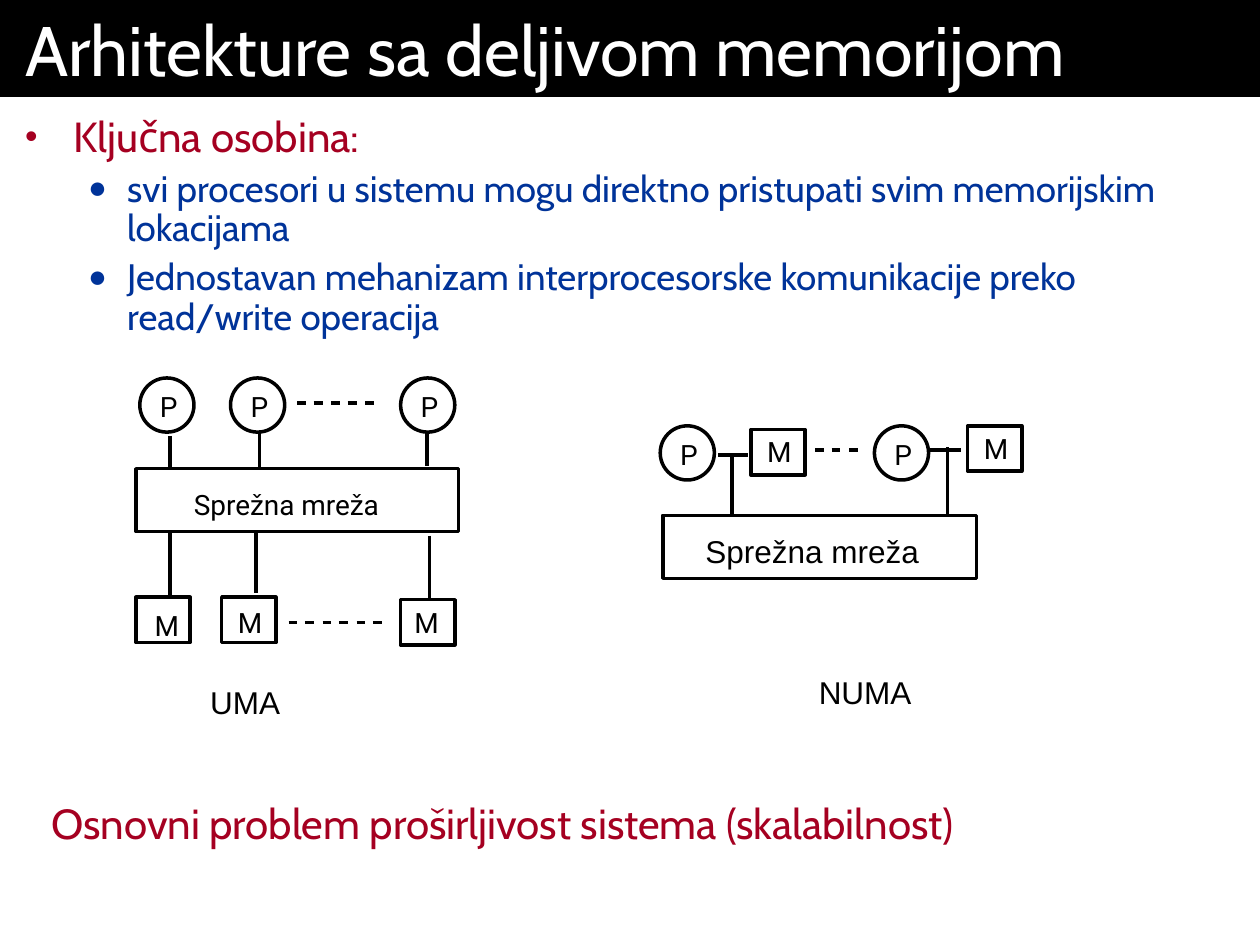
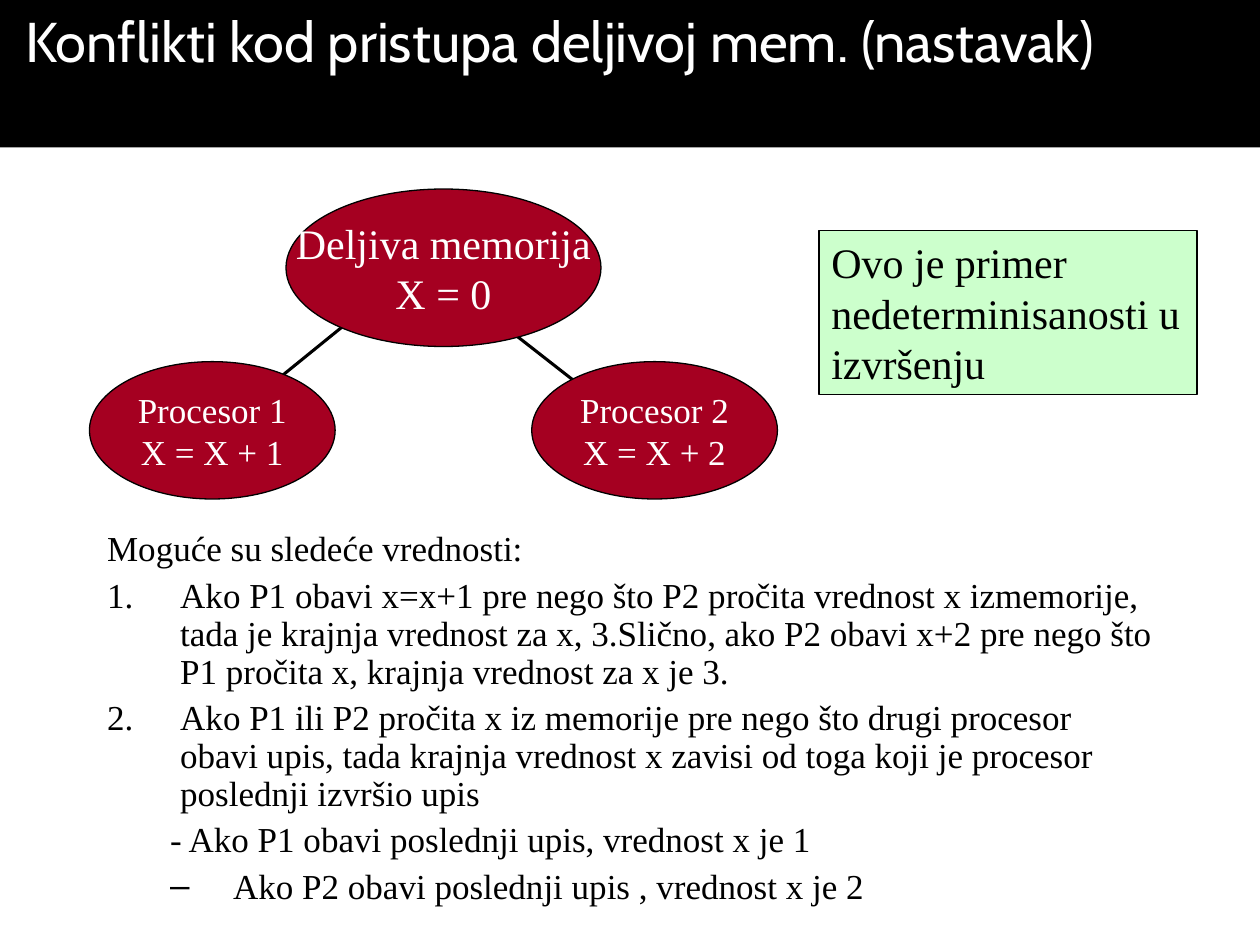
from lxml import etree
from pptx import Presentation
from pptx.dml.color import RGBColor
from pptx.enum.shapes import MSO_CONNECTOR, MSO_SHAPE
from pptx.enum.text import MSO_ANCHOR, MSO_AUTO_SIZE, PP_ALIGN
from pptx.oxml.ns import qn
from pptx.util import Pt

PX = 9144  # 100 px to the inch
OVAL, RECT = MSO_SHAPE.OVAL, MSO_SHAPE.RECTANGLE
LINE = MSO_CONNECTOR.STRAIGHT
TOP, MIDDLE, BOTTOM = MSO_ANCHOR.TOP, MSO_ANCHOR.MIDDLE, MSO_ANCHOR.BOTTOM
LEFT, CENTER = PP_ALIGN.LEFT, PP_ALIGN.CENTER
NO_FIT = MSO_AUTO_SIZE.NONE

COLORS = {"black": "000000", "white": "FFFFFF", "red": "A50021",
          "blue": "003399", "mint": "CCFFCC"}
HEAD, LABEL, PLAIN, SERIF = "Cabin", "Roboto", "Arial", "Times New Roman"


def write(shape, items, font, anchor=TOP, align=LEFT, wrap=True, inset=(10, 5)):
    """Fill a shape with paragraphs given as dicts of text and format."""
    frame = shape.text_frame
    frame.auto_size, frame.word_wrap = NO_FIT, wrap
    frame.vertical_anchor = anchor
    frame.margin_left = frame.margin_right = inset[0] * PX
    frame.margin_top = frame.margin_bottom = inset[1] * PX
    for i, item in enumerate(items):
        para = frame.add_paragraph() if i else frame.paragraphs[0]
        para.text = item["text"]
        para.level = item.get("level", 0)
        para.alignment = align
        para.line_spacing = item.get("lines", 1.0)
        para.space_before = Pt(item.get("before", 0) if i else 0)
        props = para._p.get_or_add_pPr()
        left, hang = item.get("indent", (0, 0))
        props.set("marL", str(left * PX))
        props.set("indent", str(-hang * PX))
        mark = item.get("mark")
        if mark:
            tint = etree.SubElement(props, qn("a:buClr"))
            etree.SubElement(tint, qn("a:srgbClr"), val=COLORS[item["color"]])
            etree.SubElement(props, qn("a:buSzPct"), val=str(item.get("scale", 100) * 1000))
        if mark == "1.":
            etree.SubElement(props, qn("a:buAutoNum"), type="arabicPeriod")
        elif mark:
            etree.SubElement(props, qn("a:buChar"), char=mark)
        else:
            etree.SubElement(props, qn("a:buNone"))
        para.font.name, para.font.size = font, Pt(item["size"])
        para.font.color.rgb = RGBColor.from_string(COLORS[item["color"]])


def draw(slide, kind, place, fill, width):
    shape = slide.shapes.add_shape(kind, *(n * PX for n in place))
    shape.shadow.inherit = False
    shape.fill.solid()
    shape.fill.fore_color.rgb = RGBColor.from_string(COLORS[fill])
    shape.line.color.rgb = RGBColor.from_string(COLORS["black"])
    shape.line.width = Pt(width)
    return shape


deck = Presentation()
deck.slide_width, deck.slide_height = 1000 * PX, 750 * PX

# Titles and lists
top = dict(size=24, color="red", lines=0.9, indent=(38, 38), mark="•", scale=85)
sub = dict(size=21, color="blue", lines=0.9, before=5.2, level=1,
           indent=(81, 31), mark="●", scale=85)
step = dict(size=20, color="black", lines=0.9, before=5, indent=(58, 58))
case = dict(step, level=1, indent=(100, 50))
traits = [
    dict(top, text="Ključna osobina:"),
    dict(sub, text="svi procesori u sistemu mogu direktno pristupati svim "
                   "memorijskim lokacijama"),
    dict(sub, text="Jednostavan mehanizam interprocesorske komunikacije preko "
                   "read/write operacija"),
]
values = [
    dict(step, text="Moguće su sledeće vrednosti:"),
    dict(step, mark="1.", text="Ako P1 obavi x=x+1 pre nego što P2 pročita vrednost x "
         "izmemorije, tada je krajnja vrednost za x, 3.Slično, ako P2 obavi x+2 pre "
         "nego što P1 pročita x, krajnja vrednost za x je 3."),
    dict(step, mark="1.", text="Ako P1 ili P2 pročita x iz memorije pre nego što drugi "
         "procesor obavi upis, tada krajnja vrednost x zavisi od toga koji je procesor "
         "poslednji izvršio upis"),
    dict(case, text="- Ako P1 obavi poslednji upis, vrednost x je 1"),
    dict(case, mark="–", text="Ako P2 obavi poslednji upis , vrednost x je 2"),
]
pages = [
    ("Arhitekture sa deljivom memorijom", 40, 77, traits, HEAD, (0, 77, 1000, 223), (20, 15)),
    ("Konflikti kod pristupa deljivoj mem. (nastavak)", 32, 117, values, SERIF,
     (75, 417, 850, 217), (10, 5)),
]
slides = []
for title, size, height, items, font, place, inset in pages:
    slide = deck.slides.add_slide(deck.slide_layouts[1])
    slides.append(slide)
    band, body = slide.placeholders
    band.left, band.top, band.width, band.height = 0, 0, 1000 * PX, height * PX
    band.fill.solid()
    band.fill.fore_color.rgb = RGBColor.from_string(COLORS["black"])
    write(band, [dict(text=title, size=size, color="white")], HEAD, inset=(20, 5))
    body.left, body.top, body.width, body.height = (n * PX for n in place)
    write(body, items, font, inset=inset)
arch, clash = slides

# Wires and dashed gaps
wires = [
    (135, 346, 135, 372), (135, 423, 135, 474), (206, 344, 206, 372),
    (203, 423, 203, 471), (339, 344, 339, 370), (341, 425, 341, 476),
    (570, 361, 594, 361), (737, 357, 763, 357),
    (581, 360, 581, 408), (752, 355, 752, 408),
]
for x, y, count in [(236, 320, 5), (229, 494, 6), (647, 357, 3)]:
    for i in range(count):
        dash = x + i * 27 // 2
        wires.append((dash, y, dash + 7, y))
spokes = [(335, 208, 160, 350), (335, 208, 527, 358)]
for slide, width, ends in [(arch, 2, wires), (clash, 1.75, spokes)]:
    for points in ends:
        wire = slide.shapes.add_connector(LINE, *(n * PX for n in points))
        wire.line.color.rgb = RGBColor.from_string(COLORS["black"])
        wire.line.width = Pt(width)
        etree.SubElement(wire._element.spPr, qn("a:effectLst"))

# UMA and NUMA nodes with their labels
labels = [
    ("Sprežna mreža", 144, 382, 175, 36, 16, LABEL, "black", TOP),
    ("Sprežna mreža", 550, 417, 189, 70, 18, PLAIN, "black", TOP),
    ("UMA", 157, 537, 75, 40, 18, PLAIN, "black", BOTTOM),
    ("NUMA", 640, 529, 93, 40, 18, PLAIN, "black", BOTTOM),
    ("Osnovni problem proširljivost sistema (skalabilnost)",
     31, 628, 828, 50, 24, HEAD, "red", BOTTOM),
]
for place in [(108, 372, 256, 50), (526, 409, 249, 50)]:
    draw(arch, RECT, place, "white", 2)
for x, y in [(111, 300), (183, 300), (318, 300), (524, 338), (694, 338)]:
    draw(arch, OVAL, (x, y, 43, 43), "white", 2)
    labels.append(("P", x + 6, y + 4, 33, 36, 16, LABEL, "black", TOP))
for x, y, dx, dy in [(108, 474, 5, 4), (176, 474, 3, 2), (318, 476, 1, 0),
                     (768, 338, 3, 0), (596, 341, 3, -1)]:
    draw(arch, RECT, (x, y, 43, 36), "white", 2)
    labels.append(("M", x + dx, y + dy, 40, 36, 16, LABEL, "black", TOP))
for text, x, y, w, h, size, font, color, anchor in labels:
    label = arch.shapes.add_textbox(x * PX, y * PX, w * PX, h * PX)
    write(label, [dict(text=text, size=size, color=color)], font, anchor, wrap=False)

# Shared memory, its two processors and the remark
for lines, size, place in [
    (("Deljiva memorija", "X = 0"), 24, (227, 150, 250, 125)),
    (("Procesor 1", "X = X + 1"), 20, (71, 287, 195, 109)),
    (("Procesor 2", "X = X + 2"), 20, (422, 287, 195, 109)),
]:
    node = draw(clash, OVAL, place, "red", 0.75)
    write(node, [dict(text=line, size=size, color="white") for line in lines],
          SERIF, MIDDLE, CENTER, wrap=False)
note = draw(clash, RECT, (650, 183, 300, 130), "mint", 0.75)
write(note, [dict(text="Ovo je primer nedeterminisanosti u izvršenju",
                  size=24, color="black")], SERIF)

deck.save("out.pptx")
